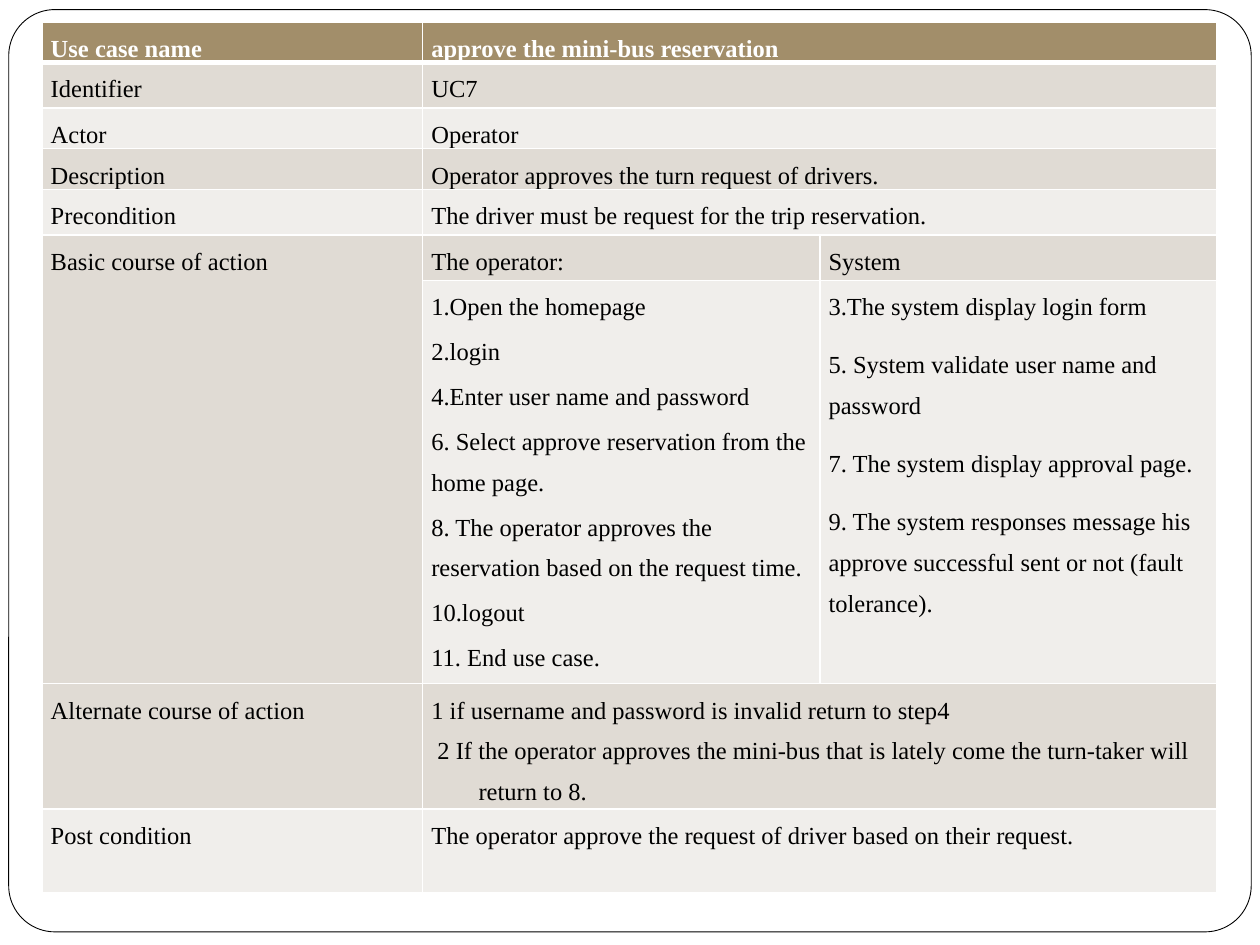
from pptx import Presentation
from pptx.dml.color import RGBColor
from pptx.enum import shapes
from pptx.oxml import parse_xml
from pptx.oxml.ns import nsdecls
from pptx.util import Pt

WHITE = RGBColor(0xFF, 0xFF, 0xFF)
BLACK = RGBColor(0, 0, 0)
HEADER = RGBColor(0xA2, 0x8E, 0x6A)
BANDS = [RGBColor(0xF0, 0xEE, 0xEB), RGBColor(0xE0, 0xDB, 0xD4)]

OPERATOR_STEPS = [
    "1.Open the homepage",
    "2.login",
    "4.Enter user name and password",
    "6. Select approve reservation from the home page.",
    "8. The operator approves the reservation based on the request time.",
    "10.logout",
    "11. End use case.",
]
SYSTEM_STEPS = [
    "3.The system display login form",
    "5. System validate user name and password",
    "7. The system display approval page.",
    "9. The system responses message his approve successful sent or not (fault tolerance).",
]
ALTERNATES = [
    "1 if username and password is invalid return to step4",
    " 2 If the operator approves the mini-bus that is lately come the turn-taker will return to 8.",
]
ROWS = [
    (23, [["Use case name"], ["approve the mini-bus reservation"]]),
    (26, [["Identifier"], ["UC7"]]),
    (23, [["Actor"], ["Operator"]]),
    (23, [["Description"], ["Operator approves the turn request of drivers."]]),
    (26, [["Precondition"], ["The driver must be request for the trip reservation."]]),
    (26, [["Basic course of action"], ["The operator:"], ["System"]]),
    (230.5, [[], OPERATOR_STEPS, SYSTEM_STEPS]),
    (71.5, [["Alternate course of action"], ALTERNATES]),
    (48, [["Post condition"],
          ["The operator approve the request of driver based on their request."]]),
]
COLS = [217.5, 227, 227]
LEFT, TOP = 24, 12.5
ACTION_ROW, STEPS_ROW, ALTERNATE_ROW = 5, 6, 7


def spacing_after(row, col, i, count):
    if row == STEPS_ROW and col == 1:
        return 2.5 if i < count - 1 else 0
    if row == STEPS_ROW and col == 2:
        return 10 if i < count - 1 else 2.5
    return 0 if row == ALTERNATE_ROW and col == 1 else 10


def set_borders(cell, row):
    tc_pr = cell._tc.get_or_add_tcPr()
    widths = {"L": 1, "R": 1, "T": 3 if row == 1 else 1, "B": 3 if row == 0 else 1}
    for side, width in widths.items():
        tc_pr.append(parse_xml(
            f'<a:ln{side} {nsdecls("a")} w="{Pt(width)}"><a:solidFill>'
            f'<a:srgbClr val="{WHITE}"/></a:solidFill></a:ln{side}>'))


def fill_cell(cell, row, col, lines):
    set_borders(cell, row)
    cell.fill.solid()
    cell.fill.fore_color.rgb = BANDS[row % 2] if row else HEADER
    margins = dict(margin_left=Pt(5), margin_right=Pt(5), margin_top=0, margin_bottom=0)
    for name, value in margins.items():
        setattr(cell, name, value)
    tf = cell.text_frame
    for i, line in enumerate(lines):
        p = tf.paragraphs[0] if i == 0 else tf.add_paragraph()
        p.line_spacing = 1.5
        p.space_after = Pt(spacing_after(row, col, i, len(lines)))
        if row == ALTERNATE_ROW and col == 1:
            p_pr = p._p.get_or_add_pPr()
            p_pr.set("marL", str(Pt(27)))
            p_pr.set("indent", str(-Pt(27)))
        r = p.add_run()
        r.text = line
        font = dict(name="Times New Roman", size=Pt(14), bold=row == 0)
        for name, value in font.items():
            setattr(r.font, name, value)
        r.font.color.rgb = BLACK if row else WHITE


def add_frame(s):
    sp = s.shapes.add_shape(shapes.MSO_SHAPE.ROUNDED_RECTANGLE,
                            Pt(5), Pt(5.5), Pt(710), Pt(527))
    sp.adjustments[0] = 0.05
    sp.shadow.inherit = False
    sp.fill.solid()
    sp.fill.fore_color.rgb = WHITE
    sp.line.color.rgb = BLACK
    sp.line.width = Pt(0.5)


def add_use_case(s):
    height = sum(h for h, _ in ROWS)
    table = s.shapes.add_table(len(ROWS), len(COLS), Pt(LEFT), Pt(TOP),
                               Pt(sum(COLS)), Pt(height)).table
    for column, width in zip(table.columns, COLS):
        column.width = Pt(width)
    for row, (h, texts) in enumerate(ROWS):
        table.rows[row].height = Pt(h)
        for col in range(len(COLS)):
            fill_cell(table.cell(row, col), row, col, texts[col] if col < len(texts) else [])
        if len(texts) == 2:
            table.cell(row, 1).merge(table.cell(row, 2))
    table.cell(ACTION_ROW, 0).merge(table.cell(STEPS_ROW, 0))


def main():
    prs = Presentation()
    prs.slide_width, prs.slide_height = Pt(720), Pt(540)
    s = prs.slides.add_slide(prs.slide_layouts[6])
    add_frame(s)
    add_use_case(s)
    prs.save("out.pptx")


if __name__ == "__main__":
    main()
